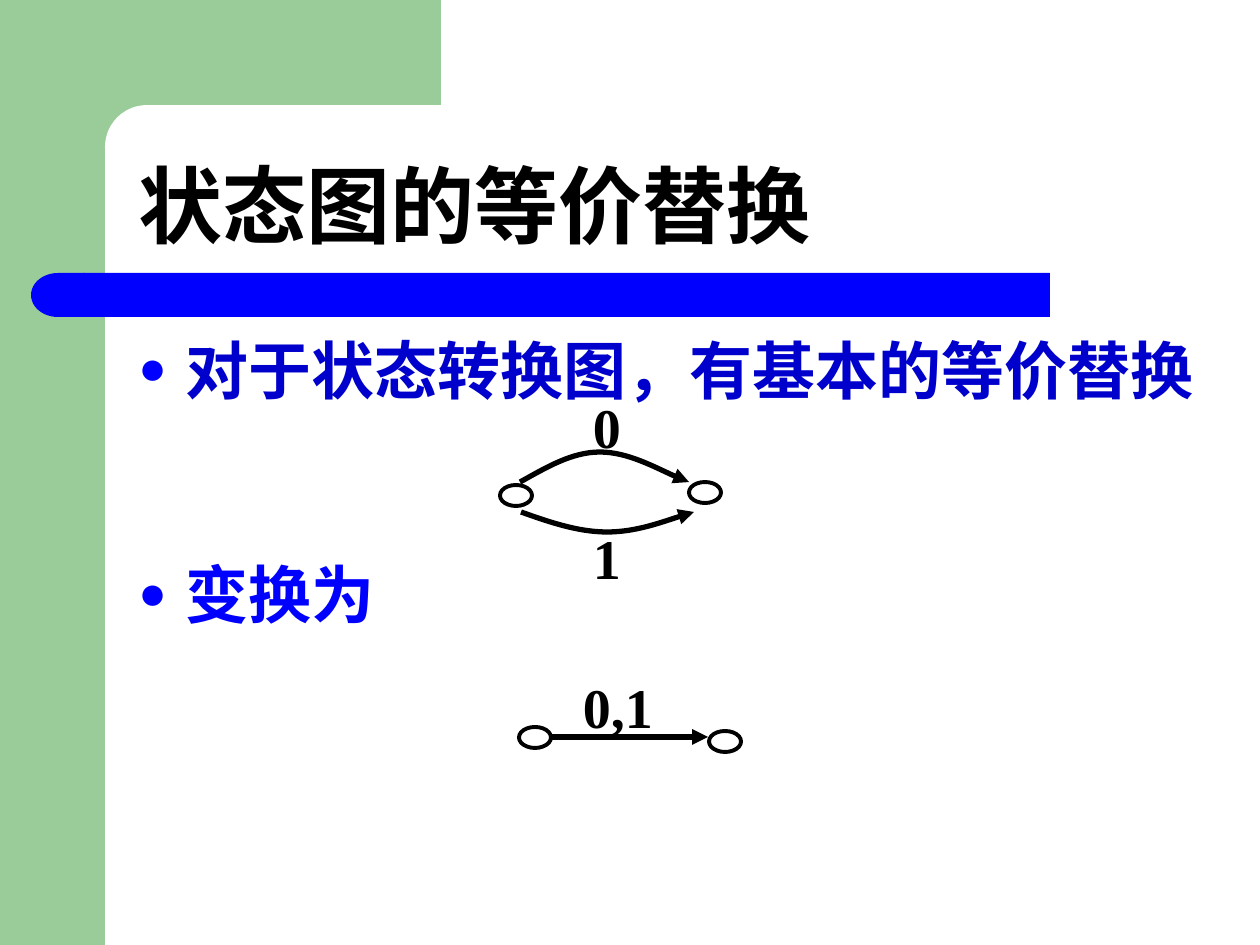
import pptx
import pptx.util
import pptx.dml.color
import pptx.oxml
import pptx.oxml.ns
import pptx.enum.shapes
import pptx.enum.text

PX = 914400 / 126
SANS = "Noto Sans CJK SC"
SERIF = "Times New Roman"
KIND = pptx.enum.shapes.MSO_SHAPE
ALIGN = pptx.enum.text.PP_ALIGN
ANCHOR = pptx.enum.text.MSO_ANCHOR
qn = pptx.oxml.ns.qn


def emu(*sizes):
    return [round(size * PX) for size in sizes]


def rgb(code):
    return pptx.dml.color.RGBColor.from_string(code)


def add_tag(parent, tag, **attrs):
    node = parent.makeelement(qn(tag), attrs)
    parent.append(node)
    return node


def write(para, text, font=SANS, size=36, color="000000", align=ALIGN.LEFT,
          line=None, before=0):
    para.alignment = align
    para.line_spacing = line
    para.space_before = pptx.util.Pt(before)
    run = para.add_run()
    run.text = text
    run.font.name = font
    run.font.size = pptx.util.Pt(size)
    run.font.bold = True
    run.font.color.rgb = rgb(color)
    add_tag(run._r.get_or_add_rPr(), "a:ea", typeface=SANS)


def block(slide, kind, box, fill, round_by=None):
    shape = slide.shapes.add_shape(kind, *emu(*box))
    shape.shadow.inherit = False
    shape.fill.solid()
    shape.fill.fore_color.rgb = rgb(fill)
    shape.line.fill.background()
    if round_by is not None:
        shape.adjustments[0] = round_by
    return shape


def stroke(shape, width, arrow=False):
    shape.line.color.rgb = rgb("000000")
    shape.line.width = pptx.util.Pt(width)
    if arrow:
        add_tag(shape.line._get_or_add_ln(), "a:tailEnd", type="triangle")


def node(slide, x, y):
    shape = slide.shapes.add_shape(KIND.OVAL, *emu(x, y, 32, 21))
    shape.shadow.inherit = False
    shape.fill.background()
    stroke(shape, 2.25)


def label(slide, text, box):
    frame = slide.shapes.add_textbox(*emu(*box)).text_frame
    frame.margin_left = frame.margin_right = 0
    frame.margin_top = frame.margin_bottom = 0
    frame.word_wrap = True
    frame.vertical_anchor = ANCHOR.MIDDLE
    write(frame.paragraphs[0], text, font=SERIF, size=32, align=ALIGN.CENTER)


def curve(slide, x, y, points):
    spots = [(x + dx, y + dy) for dx, dy in points]
    form = slide.shapes.build_freeform(*spots[0], scale=PX)
    form.add_line_segments(spots[1:], close=False)
    shape = form.convert_to_shape()
    shape.shadow.inherit = False
    shape.fill.background()
    stroke(shape, 3, arrow=True)
    trail = shape._element.find(".//" + qn("a:path"))
    steps = trail.findall(qn("a:lnTo"))
    for start in range(0, len(steps), 3):
        bend = add_tag(trail, "a:cubicBezTo")
        for step in steps[start:start + 3]:
            bend.append(step[0])
            trail.remove(step)


def frame_art(slide, x, y):
    block(slide, KIND.RECTANGLE, (x, y, 105, 945), "99CC99")
    block(slide, KIND.RECTANGLE, (x + 95, y, 346, 147), "99CC99")
    block(slide, KIND.ROUNDED_RECTANGLE, (x + 105, y + 105, 703, 84), "FFFFFF", 0.5)


def bar(slide, x, y):
    block(slide, KIND.ROUNDED_RECTANGLE, (x + 53, y, 966, 44), "0000FF", 0)
    cap = block(slide, KIND.FLOWCHART_DELAY, (x, y, 54, 44), "0000FF")
    cap._element.spPr.find(qn("a:xfrm")).set("flipH", "1")


def heading(slide, box, text):
    title = slide.shapes.title
    slide.shapes._spTree.append(title._element)
    title.left, title.top, title.width, title.height = emu(*box)
    title.text_frame.vertical_anchor = ANCHOR.BOTTOM
    title.text_frame.word_wrap = True
    write(title.text_frame.paragraphs[0], text, size=48, line=0.9)


def points(slide, box, items):
    frame = slide.shapes.add_textbox(*emu(*box)).text_frame
    frame.word_wrap = True
    for index, (text, font, color, gap) in enumerate(items):
        para = frame.add_paragraph() if index else frame.paragraphs[0]
        props = para._p.get_or_add_pPr()
        hang = emu(47)[0]
        props.set("marL", str(hang))
        props.set("indent", str(-hang))
        tint = add_tag(props, "a:buClr")
        add_tag(tint, "a:srgbClr", val="0000FF")
        add_tag(props, "a:buSzPct", val="75000")
        add_tag(props, "a:buFont", typeface=SERIF)
        add_tag(props, "a:buChar", char="●")
        write(para, text, font=font, color=color, before=gap)


def split_graph(slide, x, y):
    node(slide, x, y + 92)
    node(slide, x + 189, y + 89)
    label(slide, "0", (x + 91, y, 32, 67))
    label(slide, "1", (x + 91, y + 131, 32, 67))
    curve(slide, x + 20, y + 89,
          [(0, 0), (27, -15), (52, -30), (80, -30), (108, -30), (154, -5), (169, 0)])
    curve(slide, x + 21, y + 119,
          [(0, 0), (28, 10), (57, 20), (86, 20), (115, 20), (159, 4), (173, 0)])


def joined_graph(slide, x, y):
    node(slide, x, y + 54)
    node(slide, x + 190, y + 58)
    ends = emu(x + 32, y + 64, x + 189, y + 64)
    link = slide.shapes.add_connector(pptx.enum.shapes.MSO_CONNECTOR.STRAIGHT, *ends)
    stroke(link, 3, arrow=True)
    add_tag(link._element.spPr, "a:effectLst")
    label(slide, "0,1", (x + 31, y, 136, 67))


def main():
    deck = pptx.Presentation()
    deck.slide_width, deck.slide_height = emu(1260, 945)
    slide = deck.slides.add_slide(deck.slide_layouts[5])
    frame_art(slide, 0, 0)
    bar(slide, 31, 273)
    heading(slide, (126, 105, 1102, 157), "状态图的等价替换")
    points(slide, (126, 325, 1102, 514), [
        ("对于状态转换图，有基本的等价替换", SANS, "0000CC", 0),
        ("变换为", SERIF, "0000FF", 85),
    ])
    split_graph(slide, 500, 393)
    joined_graph(slide, 519, 673)
    deck.save("out.pptx")


if __name__ == "__main__":
    main()
